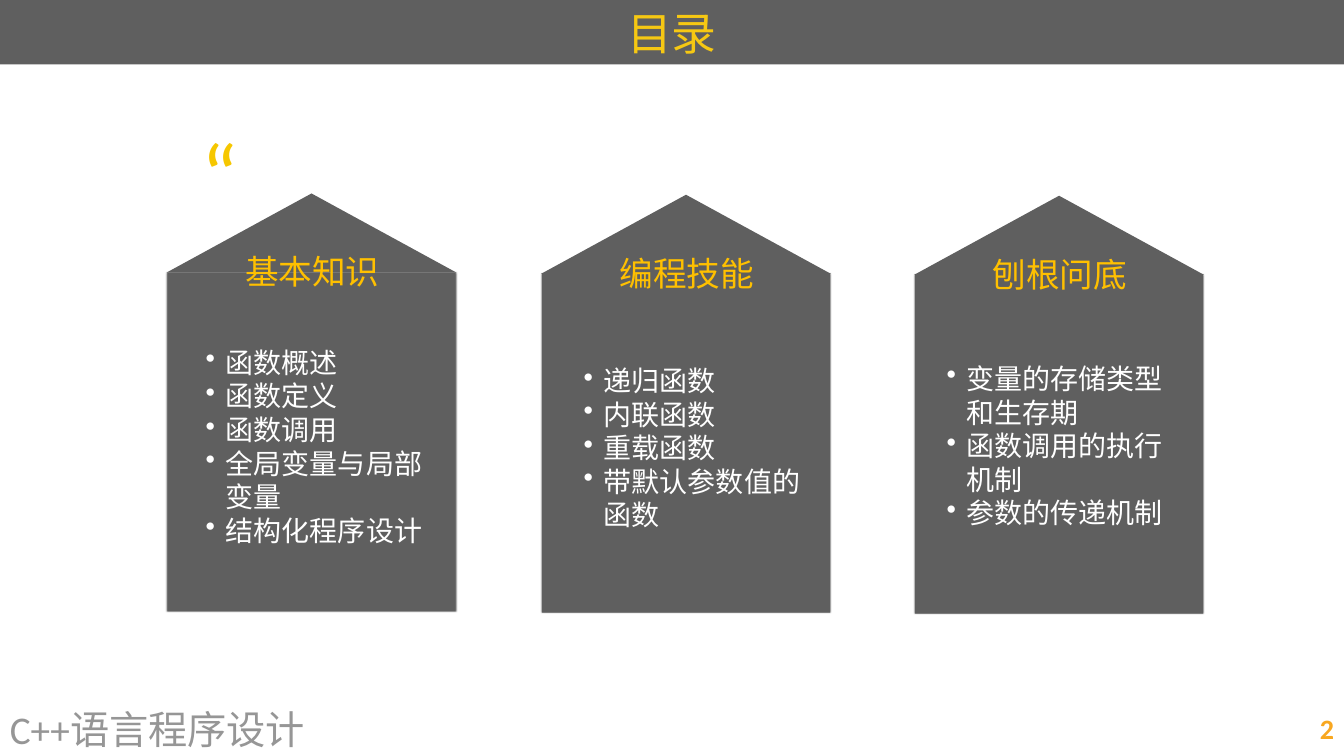
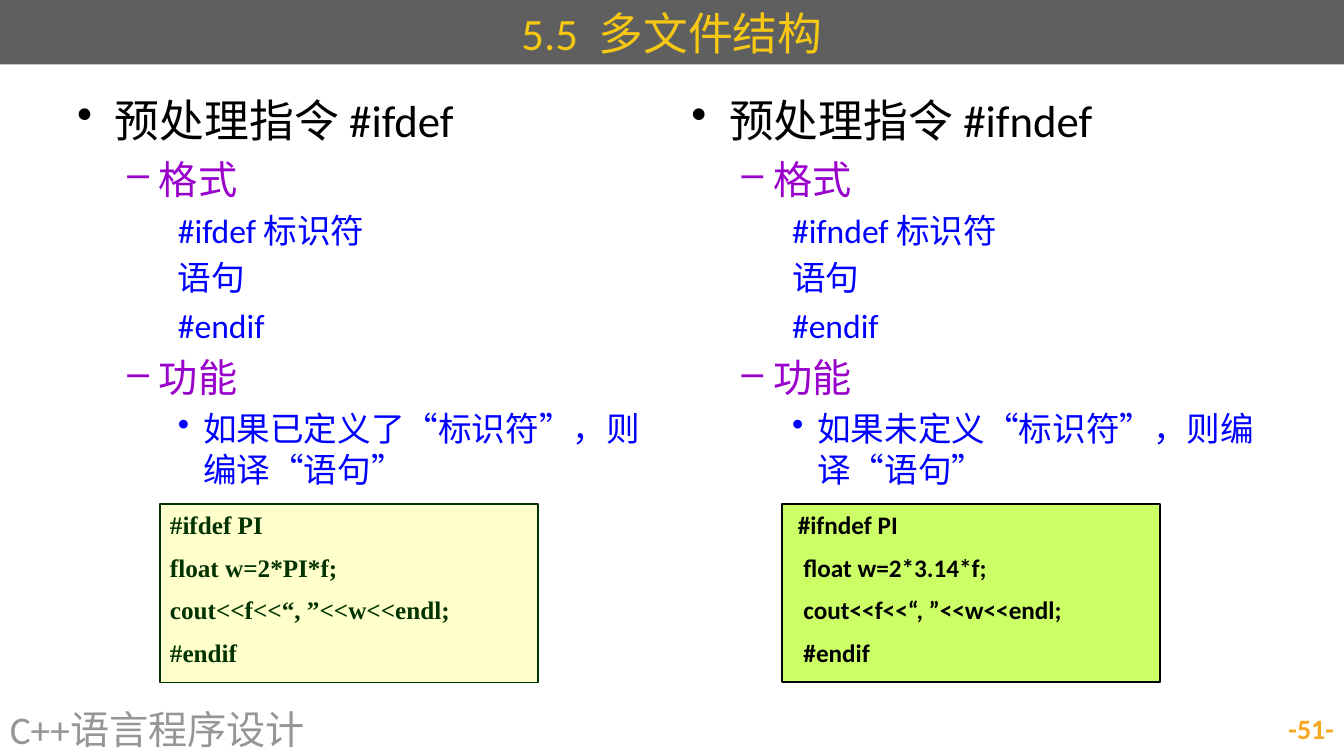
from lxml import etree
from pptx import Presentation
from pptx.dml.color import RGBColor
from pptx.enum import shapes as sh, text as tx
from pptx.oxml import ns
from pptx.util import Pt

CHARCOAL = RGBColor(0x5F, 0x5F, 0x5F)
TITLE_YELLOW = RGBColor(0xF6, 0xC8, 0x13)
QUOTE_YELLOW = RGBColor(0xF6, 0xC7, 0x00)
HEADING_GOLD = RGBColor(0xFF, 0xC0, 0x00)
PAGE_ORANGE = RGBColor(0xF8, 0xA7, 0x20)
FOOTER_GRAY = RGBColor(0x96, 0x96, 0x96)
WHITE = RGBColor(0xFF, 0xFF, 0xFF)
BLACK = RGBColor(0, 0, 0)
PURPLE = RGBColor(0x99, 0x00, 0xCC)
BLUE = RGBColor(0x00, 0x00, 0xFF)
CREAM = RGBColor(0xFF, 0xFF, 0xCC)
DARK_GREEN = RGBColor(0x00, 0x33, 0x00)
LIME = RGBColor(0xCC, 0xFF, 0x66)

LATIN = "Calibri"
CJK = "Noto Sans CJK SC"
SERIF = "Times New Roman"

WIDTH, HEIGHT = 960, 540
BAND_HEIGHT = 46
FOOTER_TOP, FOOTER_HEIGHT = 500.4, 39.6
CARD_WIDTH, ROOF_HEIGHT, WALL_HEIGHT = 207, 56.5, 242

TITLE = dict(size=32, color=TITLE_YELLOW)
COURSE = dict(size=28, color=FOOTER_GRAY)
PAGE = dict(size=20, color=PAGE_ORANGE, bold=True)
QUOTE = dict(size=62.5, color=QUOTE_YELLOW, line=40)
CARD_HEADING = dict(size=24, color=HEADING_GOLD, face=CJK)
CARD_ITEM = dict(size=20, color=WHITE, face=CJK, line=24,
                 level=1, bullet="•", margin=14.4, indent=-14.4)
TOPIC = dict(size=32, color=BLACK, before=6.4,
             bullet="•", margin=27, indent=-27)
ASPECT = dict(size=28, color=PURPLE, before=5.6,
              level=1, bullet="–", margin=58.5, indent=-22.5)
SYNTAX = dict(size=24, color=BLUE, before=4.8, level=2, margin=72)
MEANING = {**SYNTAX, "bullet": "•", "margin": 90, "indent": -18}
CODE = dict(size=18, bold=True, before=8.4)

CARDS = [
    ("基本知识", 119, 138.2, (142.6, 242, 163.4, 153.4),
     ["函数概述", "函数定义", "函数调用", "全局变量与局部变量", "结构化程序设计"]),
    ("编程技能", 386.5, 139.1, (412.6, 254.9, 174.2, 129.6),
     ["递归函数", "内联函数", "重载函数", "带默认参数值的函数"]),
    ("刨根问底", 653, 139.8, (671.8, 253.4, 179.3, 129.6),
     ["变量的存储类型和生存期", "函数调用的执行机制", "参数的传递机制"]),
]


def set_all(target, values):
    for attribute, value in values.items():
        setattr(target, attribute, value)


def write_paragraph(paragraph, content, style, first, align):
    size = style["size"]
    properties = paragraph._p.get_or_add_pPr()
    properties.set("marL", str(Pt(style.get("margin", 0))))
    properties.set("indent", str(Pt(style.get("indent", 0))))
    if "bullet" in style:
        mark = etree.SubElement(properties, ns.qn("a:buChar"))
        mark.set("char", style["bullet"])
    else:
        etree.SubElement(properties, ns.qn("a:buNone"))
    set_all(paragraph, dict(
        level=style.get("level", 0),
        alignment=align,
        line_spacing=Pt(style.get("line", round(size * 1.22, 2))),
        space_before=Pt(0 if first else style.get("before", 0)),
    ))
    run = paragraph.add_run()
    run.text = content
    set_all(run.font, dict(size=Pt(size), bold=style.get("bold", False),
                           name=style.get("face", LATIN)))
    run.font.color.rgb = style["color"]
    east_asian = etree.SubElement(run._r.get_or_add_rPr(), ns.qn("a:ea"))
    east_asian.set("typeface", CJK)


def write_text(frame, lines, anchor=tx.MSO_ANCHOR.MIDDLE,
               align=tx.PP_ALIGN.LEFT, insets=(7.2, 3.6)):
    across, down = (Pt(inset) for inset in insets)
    set_all(frame, dict(word_wrap=True, vertical_anchor=anchor,
                        margin_left=across, margin_right=across,
                        margin_top=down, margin_bottom=down))
    for index, (content, style) in enumerate(lines):
        paragraph = frame.add_paragraph() if index else frame.paragraphs[0]
        write_paragraph(paragraph, content, style, index == 0, align)


def add_text(slide, box, lines, **layout):
    label = slide.shapes.add_textbox(*map(Pt, box))
    write_text(label.text_frame, lines, **layout)


def paint(shape, fill, line=None, line_width=1):
    shape.shadow.inherit = False
    shape.fill.solid()
    shape.fill.fore_color.rgb = fill
    if line is None:
        shape.line.fill.background()
    else:
        shape.line.color.rgb = line
        shape.line.width = Pt(line_width)


def add_panel(slide, box, fill, line=None, line_width=1):
    panel = slide.shapes.add_shape(sh.MSO_SHAPE.RECTANGLE, *map(Pt, box))
    paint(panel, fill, line, line_width)
    return panel


def add_soft_shadow(shape):
    effects = shape._element.spPr.find(ns.qn("a:effectLst"))
    shadow = etree.SubElement(effects, ns.qn("a:outerShdw"),
                              blurRad=str(Pt(1)), dist="0", dir="5400000")
    tint = etree.SubElement(shadow, ns.qn("a:srgbClr"), val="000000")
    etree.SubElement(tint, ns.qn("a:alpha"), val="50000")


def add_slide(deck, title, page):
    slide = deck.slides.add_slide(deck.slide_layouts[6])
    band = add_panel(slide, (0, 0, WIDTH, BAND_HEIGHT), CHARCOAL)
    write_text(band.text_frame, [(title, TITLE)], align=tx.PP_ALIGN.CENTER)
    add_text(slide, (0, FOOTER_TOP, 632, FOOTER_HEIGHT),
             [("C++语言程序设计", COURSE)])
    add_text(slide, (688, FOOTER_TOP, 272, FOOTER_HEIGHT),
             [(page, PAGE)], align=tx.PP_ALIGN.RIGHT)
    return slide


def add_card(slide, heading, left, top, items_box, items):
    eaves = top + ROOF_HEIGHT
    wall = add_panel(slide, (left + 0.5, eaves, CARD_WIDTH - 1, WALL_HEIGHT),
                     CHARCOAL)
    add_soft_shadow(wall)
    outline = slide.shapes.build_freeform(Pt(left + CARD_WIDTH / 2), Pt(top))
    outline.add_line_segments([(Pt(left + CARD_WIDTH), Pt(eaves)),
                               (Pt(left), Pt(eaves))])
    paint(outline.convert_to_shape(), CHARCOAL)
    add_text(slide, items_box, [(item, CARD_ITEM) for item in items],
             insets=(4.3, 4.3))
    add_text(slide, (left + 51.8, top + 36.7, 114, 37.4),
             [(heading, CARD_HEADING)], insets=(4.3, 4.3))


def add_directive(slide, box, directive, condition):
    add_text(slide, box, [
        (f"预处理指令 {directive}", TOPIC),
        ("格式", ASPECT),
        (f"{directive} 标识符", SYNTAX),
        ("语句", SYNTAX),
        ("#endif", SYNTAX),
        ("功能", ASPECT),
        (f"如果{condition}“标识符”，则编译“语句”", MEANING),
    ], anchor=tx.MSO_ANCHOR.TOP)


def add_code(slide, left, lines, fill, ink, line_width, face):
    listing = add_panel(slide, (left, 360, 270, 127.5), fill, ink, line_width)
    style = {**CODE, "color": ink, "face": face}
    write_text(listing.text_frame, [(line, style) for line in lines],
               anchor=tx.MSO_ANCHOR.TOP)


def build_contents(deck):
    slide = add_slide(deck, "目录", "2")
    for card in CARDS:
        add_card(slide, *card)
    add_text(slide, (139.7, 127.4, 59, 36.7), [("“", QUOTE)],
             anchor=tx.MSO_ANCHOR.BOTTOM, insets=(4.3, 4.3))


def build_directives(deck):
    slide = add_slide(deck, "5.5  多文件结构", "-51-")
    add_directive(slide, (48, 62, 432, 404), "#ifdef", "已定义了")
    add_directive(slide, (486.7, 62, 426, 404), "#ifndef", "未定义")
    add_code(slide, 114.3,
             ["#ifdef PI", "float w=2*PI*f;",
              "cout<<f<<“, ”<<w<<endl;", "#endif"],
             CREAM, DARK_GREEN, 1, SERIF)
    add_code(slide, 558.7,
             [" #ifndef PI", "  float w=2*3.14*f;",
              "  cout<<f<<“, ”<<w<<endl;", "  #endif"],
             LIME, BLACK, 1.5, LATIN)


def main():
    deck = Presentation()
    set_all(deck, dict(slide_width=Pt(WIDTH), slide_height=Pt(HEIGHT)))
    build_contents(deck)
    build_directives(deck)
    deck.save("out.pptx")


if __name__ == "__main__":
    main()
